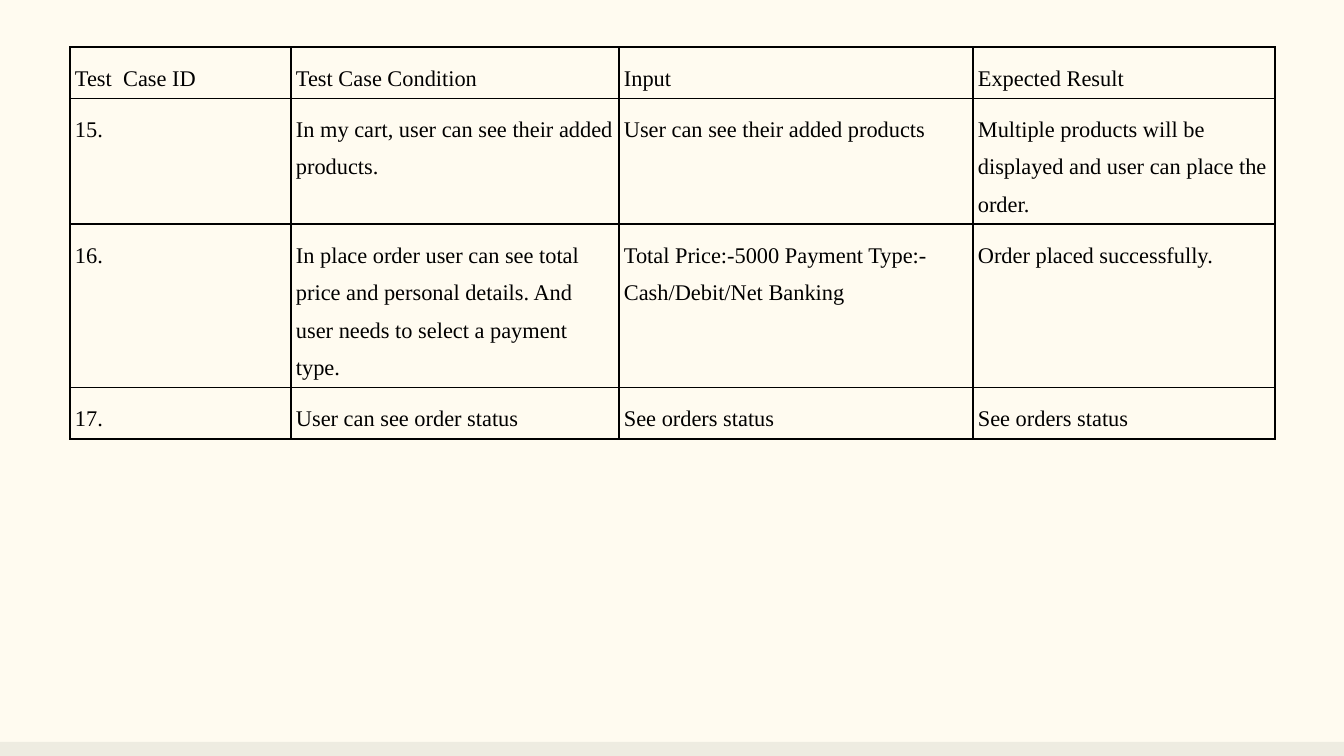
from lxml import etree
from pptx import Presentation
from pptx import util as u
from pptx.dml.color import RGBColor
from pptx.enum import shapes, text
from pptx.oxml.ns import qn

# Content
HEADERS = ["Test  Case ID", "Test Case Condition", "Input", "Expected Result"]
TEST_CASES = [
    ["15.", "In my cart, user can see their added products.",
     "User can see their added products",
     "Multiple products will be displayed and user can place the order."],
    ["16.", "In place order user can see total price and personal details. "
     "And user needs to select a payment type.",
     "Total Price:-5000 Payment Type:- Cash/Debit/Net Banking",
     "Order placed successfully."],
    ["17.", "User can see order status", "See orders status", "See orders status"],
]
COLORS = {"background": "FFFBF0", "footer": "EEECE1", "ink": "000000"}

# Layout in px
SLIDE_WIDTH, SLIDE_HEIGHT = 1344, 756
FOOTER_HEIGHT = 14
TABLE_LEFT, TABLE_TOP = 70, 47
COLUMN_WIDTHS = [221, 328, 354, 302]
ROW_HEIGHTS = [51, 126, 162, 51]
INSET_X, INSET_Y = 5, 7
BORDER_POINTS = 0.96
SCALE = u.Inches(10) / SLIDE_WIDTH


def px(length):
    return u.Emu(round(length * SCALE))


def color(name):
    return RGBColor.from_string(COLORS[name])


def write(frame, content, font="Times New Roman", size=12, ink="ink", spacing=1.5):
    paragraph = frame.paragraphs[0]
    paragraph.alignment = text.PP_ALIGN.LEFT
    paragraph.line_spacing = spacing
    run = paragraph.add_run()
    run.text = content
    run.font.name = font
    run.font.size = u.Pt(size)
    run.font.bold = False
    run.font.color.rgb = color(ink)


def add_borders(cell):
    properties = cell._tc.get_or_add_tcPr()
    for position, side in enumerate(("a:lnL", "a:lnR", "a:lnT", "a:lnB")):
        line = etree.Element(qn(side), w=str(u.Pt(BORDER_POINTS)))
        fill = etree.SubElement(line, qn("a:solidFill"))
        etree.SubElement(fill, qn("a:srgbClr"), val=COLORS["ink"])
        properties.insert(position, line)


presentation = Presentation()
presentation.slide_width = px(SLIDE_WIDTH)
presentation.slide_height = px(SLIDE_HEIGHT)
slide = presentation.slides.add_slide(presentation.slide_layouts[6])

# Background and footer strip
slide.background.fill.solid()
slide.background.fill.fore_color.rgb = color("background")
footer = slide.shapes.add_shape(
    shapes.MSO_SHAPE.RECTANGLE, 0, px(SLIDE_HEIGHT - FOOTER_HEIGHT),
    px(SLIDE_WIDTH), px(FOOTER_HEIGHT))
footer.shadow.inherit = False
footer.fill.solid()
footer.fill.fore_color.rgb = color("footer")
footer.line.fill.background()

# Test case table
rows = [HEADERS] + TEST_CASES
table = slide.shapes.add_table(
    len(rows), len(HEADERS), px(TABLE_LEFT), px(TABLE_TOP),
    px(sum(COLUMN_WIDTHS)), px(sum(ROW_HEIGHTS))).table
table.first_row = table.horz_banding = False
for column, width in zip(table.columns, COLUMN_WIDTHS):
    column.width = px(width)
for row, height, contents in zip(table.rows, ROW_HEIGHTS, rows):
    row.height = px(height)
    for cell, content in zip(row.cells, contents):
        cell.margin_left = cell.margin_right = px(INSET_X)
        cell.margin_top = cell.margin_bottom = px(INSET_Y)
        cell.fill.background()
        add_borders(cell)
        write(cell.text_frame, content)

presentation.save("out.pptx")
